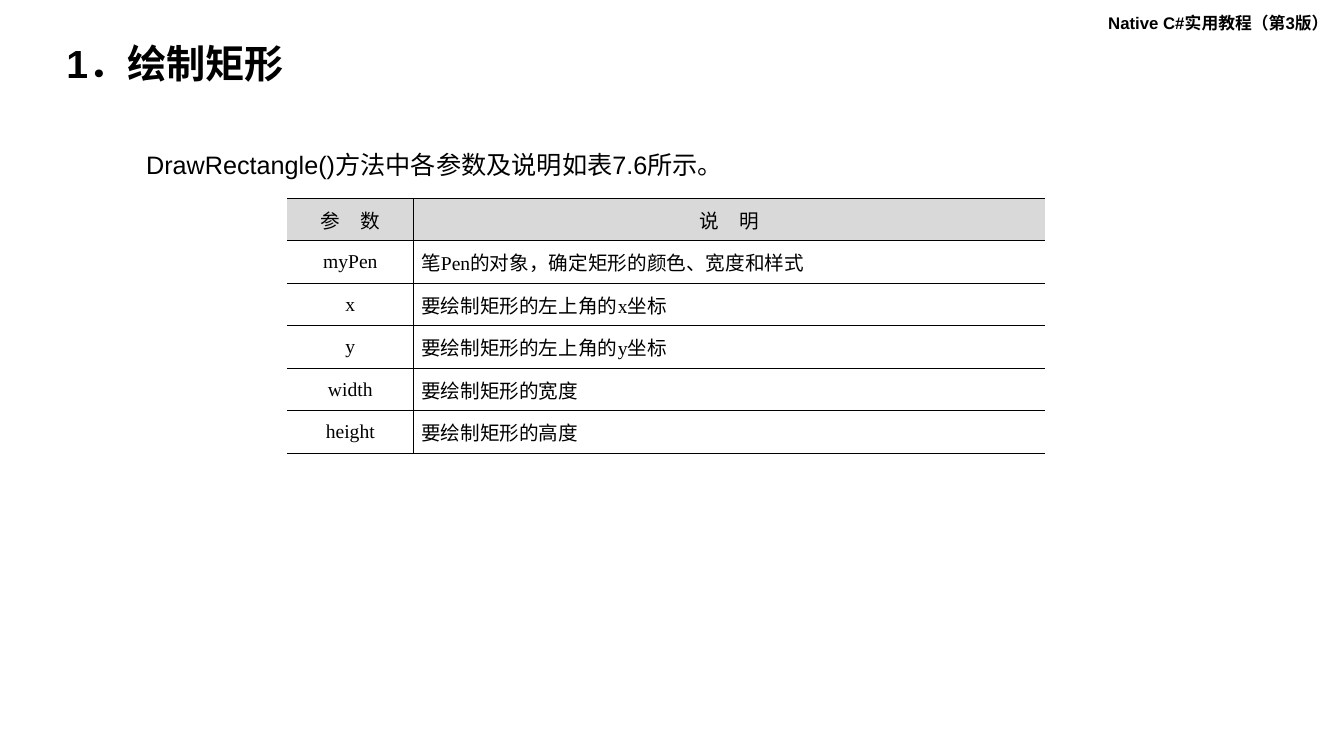
from dataclasses import dataclass

from lxml import etree
from pptx import Presentation
from pptx import util as u
from pptx.dml import color
from pptx.enum import text
from pptx.oxml import ns


@dataclass(frozen=True)
class Theme:
    ink: str = "000000"
    header_fill: str = "D9D9D9"
    sans: str = "Arial"
    serif: str = "Times New Roman"
    book_size: float = 12
    title_size: float = 28
    body_size: float = 18
    table_size: float = 14
    rule_width: float = 1


THEME = Theme()

PARAMETERS = [
    ("参　数", "说　明"),
    ("myPen", "笔Pen的对象，确定矩形的颜色、宽度和样式"),
    ("x", "要绘制矩形的左上角的x坐标"),
    ("y", "要绘制矩形的左上角的y坐标"),
    ("width", "要绘制矩形的宽度"),
    ("height", "要绘制矩形的高度"),
]


def add_run(paragraph, words, font_name, size, bold=False):
    run = paragraph.add_run()
    run.text = words
    run.font.name = font_name
    run.font.size = u.Pt(size)
    run.font.bold = bold
    run.font.color.rgb = color.RGBColor.from_string(THEME.ink)


def add_text(slide, box, words, size, bold=False, wrap=True,
             anchor=text.MSO_ANCHOR.TOP, line_spacing=1.0):
    shape = slide.shapes.add_textbox(*map(u.Pt, box))
    frame = shape.text_frame
    frame.word_wrap = wrap
    frame.vertical_anchor = anchor
    paragraph = frame.paragraphs[0]
    paragraph.line_spacing = line_spacing
    add_run(paragraph, words, THEME.sans, size, bold)


def set_borders(cell, visible_sides):
    """Rule the named sides of a cell (from L, R, T, B) and clear the others."""
    properties = cell._tc.get_or_add_tcPr()
    for side in "LRTB":
        line = etree.SubElement(properties, ns.qn(f"a:ln{side}"),
                                w=str(u.Pt(THEME.rule_width)))
        if side in visible_sides:
            fill = etree.SubElement(line, ns.qn("a:solidFill"))
            etree.SubElement(fill, ns.qn("a:srgbClr"), val=THEME.ink)
        else:
            etree.SubElement(line, ns.qn("a:noFill"))


def add_parameter_table(slide, box, first_column_width):
    left, top, width, height = box
    table = slide.shapes.add_table(len(PARAMETERS), 2, *map(u.Pt, box)).table
    table.first_row = table.horz_banding = False
    table.columns[0].width = u.Pt(first_column_width)
    table.columns[1].width = u.Pt(width - first_column_width)
    for row_index, values in enumerate(PARAMETERS):
        is_header = row_index == 0
        table.rows[row_index].height = u.Pt(height / len(PARAMETERS))
        for column_index, words in enumerate(values):
            cell = table.cell(row_index, column_index)
            set_borders(cell, "RTB" if column_index == 0 else "LTB")
            if is_header:
                cell.fill.solid()
                cell.fill.fore_color.rgb = color.RGBColor.from_string(THEME.header_fill)
            else:
                cell.fill.background()
            cell.margin_left = cell.margin_right = u.Pt(5.4)
            cell.margin_top = cell.margin_bottom = 0
            cell.vertical_anchor = text.MSO_ANCHOR.MIDDLE
            paragraph = cell.text_frame.paragraphs[0]
            centred = is_header or column_index == 0
            paragraph.alignment = text.PP_ALIGN.CENTER if centred else text.PP_ALIGN.JUSTIFY
            add_run(paragraph, words, THEME.serif, THEME.table_size)


def add_rectangle_slide(presentation):
    slide = presentation.slides.add_slide(presentation.slide_layouts[6])
    add_text(slide, (784.5, 5.5, 175.5, 22), "Native C#实用教程（第3版）",
             THEME.book_size, bold=True)
    add_text(slide, (40.3, 28, 435, 37.5), "1．绘制矩形", THEME.title_size, bold=True,
             anchor=text.MSO_ANCHOR.MIDDLE, line_spacing=0.9)
    add_text(slide, (97.3, 103, 430.5, 29), "DrawRectangle()方法中各参数及说明如表7.6所示。",
             THEME.body_size, wrap=False)
    add_parameter_table(slide, (205, 141.7, 541.5, 182.2), first_column_width=90.5)


def main():
    presentation = Presentation()
    presentation.slide_width = u.Pt(960)
    presentation.slide_height = u.Pt(540)
    add_rectangle_slide(presentation)
    presentation.save("out.pptx")


if __name__ == "__main__":
    main()
